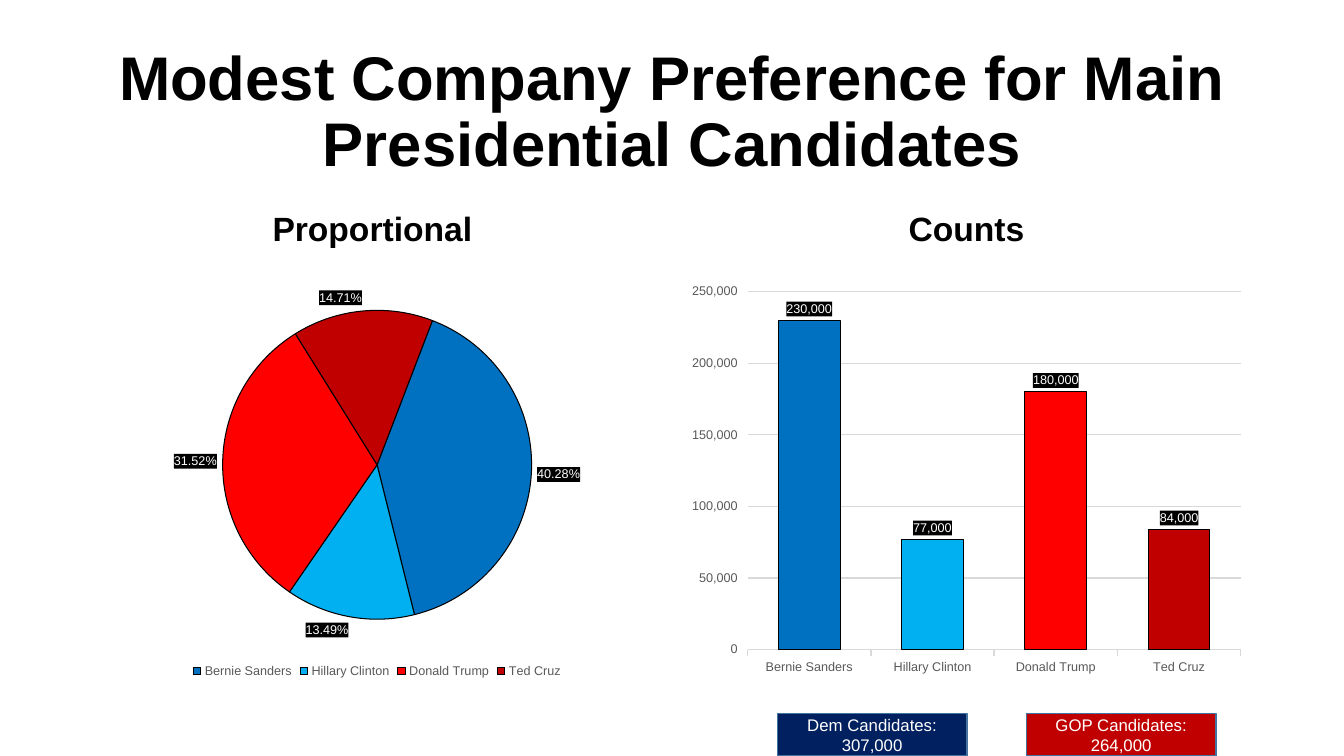
import pptx
import pptx.chart.data
import pptx.dml.color
import pptx.enum.chart
import pptx.enum.shapes
import pptx.enum.text
import pptx.oxml
import pptx.oxml.ns
import pptx.util
from dataclasses import dataclass

Inches = pptx.util.Inches
Pt = pptx.util.Pt
XL = pptx.enum.chart


@dataclass(frozen=True)
class Theme:
    font: str = "Arial"
    black: str = "000000"
    white: str = "FFFFFF"
    gray: str = "595959"
    rule: str = "D9D9D9"
    edge: str = "43739E"
    dem: str = "002060"
    gop: str = "C00000"
    candidates: tuple = ("0070C0", "00B0F0", "FF0000", "C00000")
    title: int = 44
    heading: int = 24
    note: int = 12
    small: int = 9


THEME = Theme()
CANDIDATES = ("Bernie Sanders", "Hillary Clinton", "Donald Trump", "Ted Cruz")
SHARES = (40.28, 13.49, 31.52, 14.71)
COUNTS = (230000, 77000, 180000, 84000)


def rgb(color):
    return pptx.dml.color.RGBColor.from_string(color)


def apply(obj, values):
    for name, value in values.items():
        setattr(obj, name, value)


def set_font(font, size, color, bold=False):
    apply(font, {"name": THEME.font, "size": Pt(size), "bold": bold})
    font.color.rgb = rgb(color)


def set_line(line, color, width):
    line.color.rgb = rgb(color)
    line.width = Pt(width)


def write(sp, text, size, color, bold=False, spacing=1.0):
    tf = sp.text_frame
    apply(tf, {"word_wrap": True,
               "vertical_anchor": pptx.enum.text.MSO_ANCHOR.MIDDLE})
    p = tf.paragraphs[0]
    apply(p, {"alignment": pptx.enum.text.PP_ALIGN.CENTER,
              "line_spacing": spacing})
    r = p.add_run()
    r.text = text
    set_font(r.font, size, color, bold)


def add_heading(s, box, text, size):
    sp = s.shapes.add_textbox(*map(Inches, box))
    write(sp, text, size, THEME.black, True, 0.9)


def add_total(s, left, text, color):
    sp = s.shapes.add_shape(pptx.enum.shapes.MSO_SHAPE.RECTANGLE,
                            *map(Inches, (left, 7.08, 1.88, 0.42)))
    sp.shadow.inherit = False
    sp.fill.solid()
    sp.fill.fore_color.rgb = rgb(color)
    set_line(sp.line, THEME.edge, 1)
    write(sp, text, THEME.note, THEME.white)


def add_labels(plot, values):
    plot.has_data_labels = True
    labels = plot.data_labels
    apply(labels, {"number_format_is_linked": False,
                   "position": XL.XL_LABEL_POSITION.OUTSIDE_END, **values})
    set_font(labels.font, THEME.small, THEME.white)
    nodes = plot._element.find(pptx.oxml.ns.qn("c:dLbls"))
    back = pptx.oxml.parse_xml(
        f'<c:spPr {pptx.oxml.ns.nsdecls("c", "a")}><a:solidFill>'
        f'<a:srgbClr val="{THEME.black}"/></a:solidFill></c:spPr>')
    nodes.find(pptx.oxml.ns.qn("c:txPr")).addprevious(back)


def add_candidate_chart(s, box, kind, values, label_values):
    data = pptx.chart.data.CategoryChartData()
    data.categories = CANDIDATES
    data.add_series("Series 1", values)
    chart = s.shapes.add_chart(kind, *map(Inches, box), data).chart
    apply(chart, {"has_title": False, "has_legend": False})
    set_font(chart.font, THEME.small, THEME.black)
    plot = chart.plots[0]
    plot.vary_by_categories = kind == XL.XL_CHART_TYPE.PIE
    for i, color in enumerate(THEME.candidates):
        point = plot.series[0].points[i].format
        point.fill.solid()
        point.fill.fore_color.rgb = rgb(color)
        set_line(point.line, THEME.black, 0.75)
    add_labels(plot, label_values)
    return chart


def add_share_pie(s, box):
    chart = add_candidate_chart(
        s, box, XL.XL_CHART_TYPE.PIE, SHARES,
        {"number_format": "0.00%", "show_percentage": True, "show_value": False})
    chart.has_legend = True
    apply(chart.legend, {"position": XL.XL_LEGEND_POSITION.BOTTOM,
                         "include_in_layout": False})
    set_font(chart.legend.font, THEME.small, THEME.gray)
    pie = chart.plots[0]._element
    angle = pie.find(pptx.oxml.ns.qn("c:firstSliceAng"))
    if angle is None:
        angle = pptx.oxml.parse_xml(
            f'<c:firstSliceAng {pptx.oxml.ns.nsdecls("c")}/>')
        pie.append(angle)
    angle.set("val", "21")


def add_count_columns(s, box):
    chart = add_candidate_chart(
        s, box, XL.XL_CHART_TYPE.COLUMN_CLUSTERED, COUNTS,
        {"number_format": "#,##0", "show_value": True})
    chart.plots[0].gap_width = 100
    for axis in (chart.category_axis, chart.value_axis):
        axis.major_tick_mark = XL.XL_TICK_MARK.OUTSIDE
        set_font(axis.tick_labels.font, THEME.small, THEME.gray)
    set_line(chart.category_axis.format.line, THEME.rule, 1)
    axis = chart.value_axis
    axis.format.line.fill.background()
    axis.has_major_gridlines = True
    set_line(axis.major_gridlines.format.line, THEME.rule, 0.75)
    apply(axis, {"minimum_scale": 0, "maximum_scale": 250000, "major_unit": 50000})
    apply(axis.tick_labels, {"number_format": "#,##0",
                             "number_format_is_linked": False})


def main():
    prs = pptx.Presentation()
    apply(prs, {"slide_width": Inches(13.33), "slide_height": Inches(7.5)})
    s = prs.slides.add_slide(prs.slide_layouts[6])
    add_heading(s, (0.92, 0.4, 11.5, 1.45),
                "Modest Company Preference for Main Presidential Candidates",
                THEME.title)
    for left, width, text, add_chart in (
            (0.92, 5.64, "Proportional ", add_share_pie),
            (6.75, 5.67, "Counts", add_count_columns)):
        add_heading(s, (left, 1.84, width, 0.9), text, THEME.heading)
        add_chart(s, (left, 2.74, width, 4.03))
    add_total(s, 10.18, "GOP Candidates: 264,000", THEME.gop)
    add_total(s, 7.71, "Dem Candidates: 307,000", THEME.dem)
    prs.save("out.pptx")


main()
